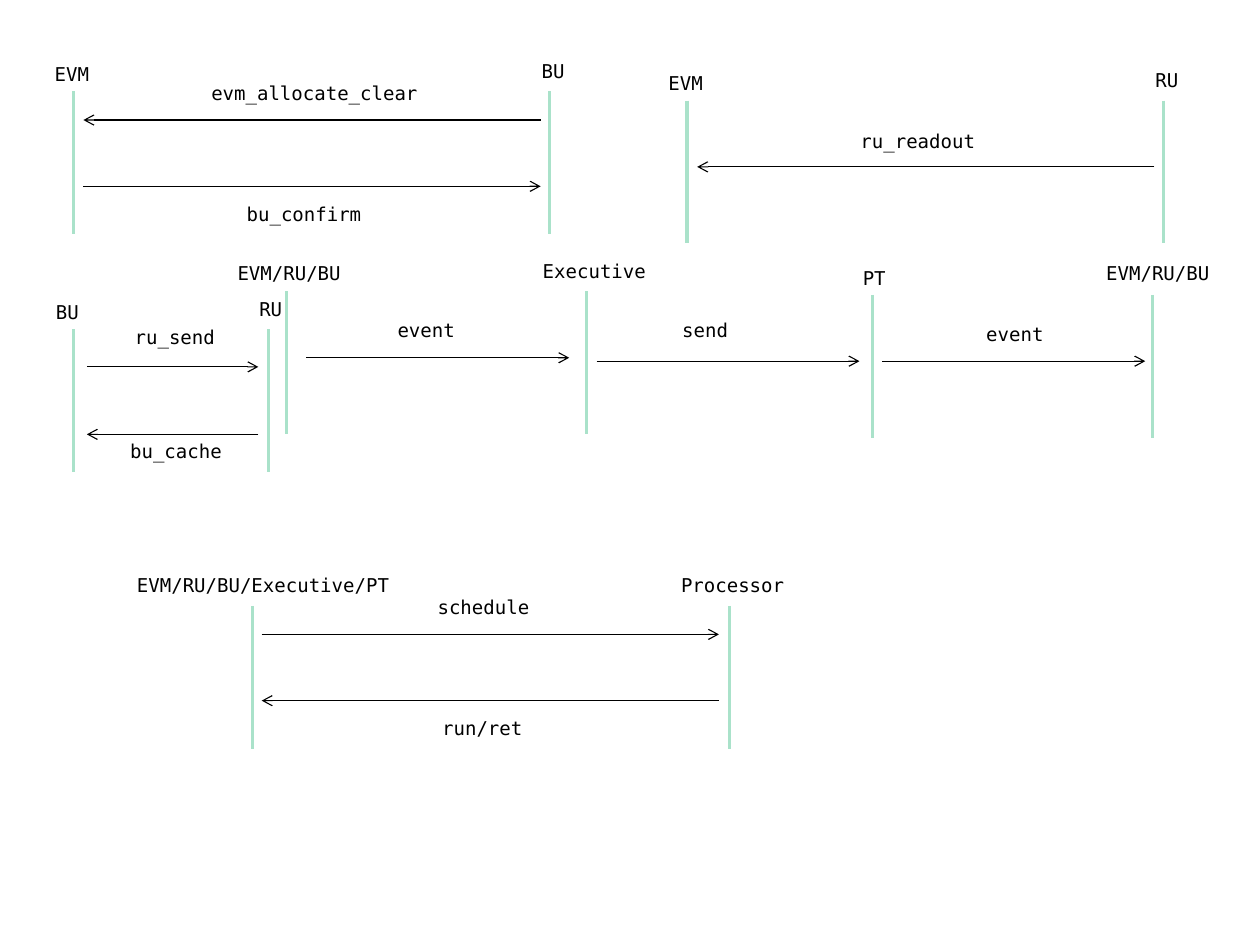
"""Build a slide of message sequences between event builder components."""
from lxml.etree import SubElement
from pptx import Presentation
from pptx.dml.color import RGBColor
from pptx.enum.shapes import MSO_CONNECTOR
from pptx.enum.text import MSO_AUTO_SIZE, PP_ALIGN
from pptx.oxml.ns import qn
from pptx.util import Cm, Inches, Pt

BLACK = RGBColor(0x00, 0x00, 0x00)
MINT = RGBColor(0xAA, 0xE2, 0xCA)
FONT = "DejaVu Sans Mono"
LIFELINE_LENGTH = 1.25
CHARACTER_WIDTH = 0.1
LABEL_PADDING = 0.21
LABEL_HEIGHT = 0.3

# name, label left, label top, lifeline x, lifeline top
LIFELINES = [
    ("EVM", 0.38, 0.5, 0.64, 0.8),
    ("BU", 4.64, 0.47, 4.81, 0.8),
    ("EVM", 5.75, 0.58, 6.01, 0.88),
    ("RU", 10.01, 0.55, 10.18, 0.88),
    ("BU", 0.39, 2.58, 0.64, 2.88),
    ("RU", 2.17, 2.55, 2.35, 2.88),
    ("EVM/RU/BU", 1.98, 2.24, 2.51, 2.55),
    ("Executive", 4.65, 2.22, 5.13, 2.55),
    ("PT", 7.45, 2.28, 7.63, 2.58),
    ("EVM/RU/BU", 9.58, 2.24, 10.08, 2.58),
    ("EVM/RU/BU/Executive/PT", 1.1, 4.97, 2.21, 5.3),
    ("Processor", 5.86, 4.97, 6.38, 5.3),
]
# name, label left, label top, sender x, receiver x, arrow y
MESSAGES = [
    ("evm_allocate_clear", 1.75, 0.66, 4.73, 0.73, 1.05),
    ("bu_confirm", 2.06, 1.72, 0.73, 4.73, 1.63),
    ("ru_readout", 7.43, 1.08, 10.1, 6.1, 1.46),
    ("ru_send", 1.08, 2.8, 0.76, 2.26, 3.21),
    ("bu_cache", 1.04, 3.8, 2.26, 0.76, 3.8),
    ("event", 3.38, 2.74, 2.68, 4.98, 3.13),
    ("send", 5.87, 2.74, 5.22, 7.52, 3.16),
    ("event", 8.53, 2.77, 7.72, 10.02, 3.16),
    ("schedule", 3.73, 5.16, 2.29, 6.29, 5.55),
    ("run/ret", 3.77, 6.22, 6.29, 2.29, 6.13),
]


def add_label(page, text, left, top):
    width = len(text) * CHARACTER_WIDTH + LABEL_PADDING
    box = page.shapes.add_textbox(
        Inches(left), Inches(top), Inches(width), Inches(LABEL_HEIGHT))
    frame = box.text_frame
    frame.word_wrap = False
    frame.auto_size = MSO_AUTO_SIZE.SHAPE_TO_FIT_TEXT
    frame.text = text
    para = frame.paragraphs[0]
    para.alignment = PP_ALIGN.LEFT
    font = para.runs[0].font
    font.name = FONT
    font.size = Pt(12)
    font.color.rgb = BLACK


def add_line(page, start, end, color, weight, arrow=False):
    line = page.shapes.add_connector(
        MSO_CONNECTOR.STRAIGHT, *map(Inches, start + end))
    line.line.color.rgb = color
    line.line.width = Pt(weight)
    properties = line.element.spPr
    if arrow:
        SubElement(properties.find(qn("a:ln")), qn("a:tailEnd"), type="arrow")
    SubElement(properties, qn("a:effectLst"))


def main():
    deck = Presentation()
    deck.slide_width, deck.slide_height = Cm(28), Cm(21)
    page = deck.slides.add_slide(deck.slide_layouts[6])
    for name, left, top, x, y in LIFELINES:
        add_line(page, (x, y), (x, y + LIFELINE_LENGTH), MINT, 2)
        add_label(page, name, left, top)
    for name, left, top, sender, receiver, y in MESSAGES:
        add_line(page, (sender, y), (receiver, y), BLACK, 0.75, arrow=True)
        add_label(page, name, left, top)
    deck.save("out.pptx")


if __name__ == "__main__":
    main()
